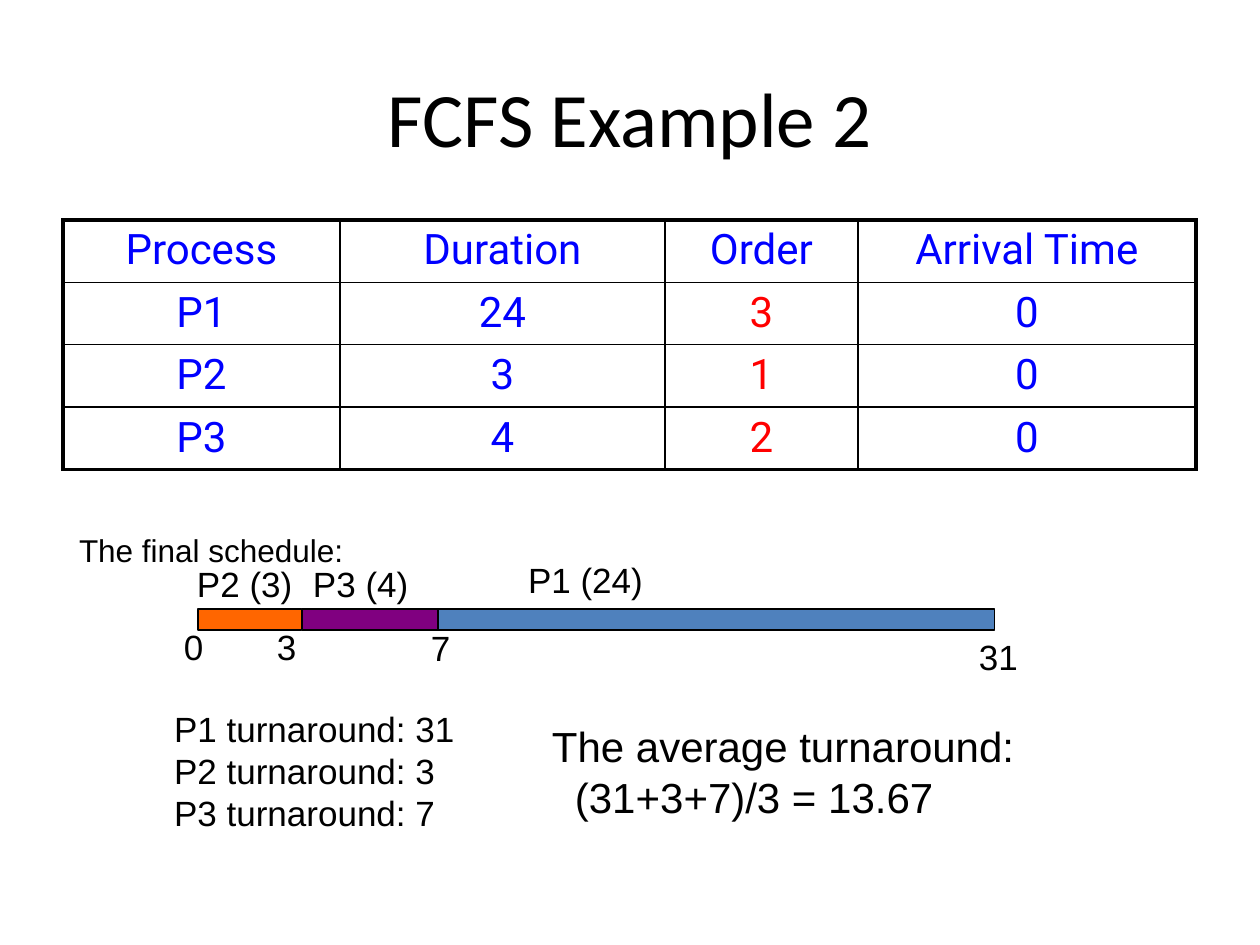
from itertools import product
from lxml.etree import SubElement
from pptx import Presentation
from pptx.dml.color import RGBColor
from pptx.enum.shapes import MSO_SHAPE as SHAPE
from pptx.enum.text import MSO_ANCHOR as ANCHOR, PP_ALIGN as ALIGN
from pptx.oxml.ns import qn
from pptx.util import Emu, Pt

PX = 914400 // 126
INSET = 6
COLORS = {"black": "000000", "white": "FFFFFF", "blue": "0000FF", "red": "FF0000",
          "P1": "4F81BD", "P2": "FF6600", "P3": "800080"}

PROCESSES = [
    ("Process", "Duration", "Order", "Arrival Time"),
    ("P1", "24", "3", "0"),
    ("P2", "3", "1", "0"),
    ("P3", "4", "2", "0"),
]
TABLE_LEFT, TABLE_TOP, ROW_HEIGHT = 63, 220, 62
COL_WIDTHS = [277, 325, 193, 338]
ORDER_COL = 2

BAR_LEFT, BAR_TOP, BAR_HEIGHT = 198, 609, 21
BARS = [("P2", 104), ("P3", 136), ("P1", 557)]  # process, width

# lines, left, top, width, height, size
LABELS = [
    (["The final schedule:"], 73, 525, 284, 48, 18),
    (["P2 (3)"], 191, 557, 112, 52, 20),
    (["P3 (4)"], 307, 557, 112, 52, 20),
    (["P1 (24)"], 522, 553, 132, 52, 20),
    (["0"], 178, 620, 36, 52, 20),
    (["3"], 271, 620, 36, 52, 20),
    (["7"], 425, 621, 36, 52, 20),
    (["31"], 973, 630, 56, 52, 20),
    (["P1 turnaround: 31", "P2 turnaround: 3", "P3 turnaround: 7"], 168, 701, 310, 132, 20),
]
AVERAGE = (["The average turnaround:", "(31+3+7)/3 = 13.67"], 546, 715, 495, 110, 24)
AVERAGE_INDENT = 23


def px(n):
    return Emu(n * PX)


def rgb(name):
    return RGBColor.from_string(COLORS[name])


def style(p, font, size, color="black", align=ALIGN.LEFT):
    p.alignment = align
    for r in p.runs:
        r.font.name, r.font.size = font, Pt(size)
        r.font.color.rgb = rgb(color)


def add_text(slide, lines, left, top, width, height, size,
             font="Arial", align=ALIGN.LEFT, anchor=ANCHOR.TOP):
    tf = slide.shapes.add_textbox(px(left), px(top), px(width), px(height)).text_frame
    tf.word_wrap, tf.vertical_anchor = True, anchor
    tf.margin_left = tf.margin_right = tf.margin_top = tf.margin_bottom = px(INSET)
    tf.text = "\n".join(lines)
    for p in tf.paragraphs:
        style(p, font, size, align=align)
    return tf


def set_borders(cell, widths):
    """Draw black cell edges; widths maps L, R, T and B to points."""
    tc_pr = cell._tc.get_or_add_tcPr()
    for i, (side, width) in enumerate(widths.items()):
        ln = SubElement(tc_pr, qn(f"a:ln{side}"), w=str(Pt(width)))
        fill = SubElement(ln, qn("a:solidFill"))
        SubElement(fill, qn("a:srgbClr"), val=COLORS["black"])
        tc_pr.insert(i, ln)


def add_process_table(slide):
    rows, cols = len(PROCESSES), len(COL_WIDTHS)
    table = slide.shapes.add_table(rows, cols, px(TABLE_LEFT), px(TABLE_TOP),
                                   px(sum(COL_WIDTHS)), px(ROW_HEIGHT * rows)).table
    for column, width in zip(table.columns, COL_WIDTHS):
        column.width = px(width)
    for row in table.rows:
        row.height = px(ROW_HEIGHT)
    for r, c in product(range(rows), range(cols)):
        cell = table.cell(r, c)
        cell.text = PROCESSES[r][c]
        cell.margin_left = cell.margin_right = px(INSET)
        cell.margin_top = cell.margin_bottom = px(INSET)
        cell.fill.solid()
        cell.fill.fore_color.rgb = rgb("white")
        color = "red" if r > 0 and c == ORDER_COL else "blue"
        p = cell.text_frame.paragraphs[0]
        style(p, "Roboto", 24, color, ALIGN.CENTER)
        p.runs[0].font.bold = False
        outer = {"L": c == 0, "R": c == cols - 1, "T": r == 0, "B": r == rows - 1}
        set_borders(cell, {side: 2.25 if edge else 1 for side, edge in outer.items()})


def add_schedule(slide):
    left = BAR_LEFT
    for process, width in BARS:
        sp = slide.shapes.add_shape(SHAPE.RECTANGLE, px(left), px(BAR_TOP),
                                    px(width), px(BAR_HEIGHT))
        sp.shadow.inherit = False
        sp.fill.solid()
        sp.fill.fore_color.rgb = rgb(process)
        sp.line.color.rgb = rgb("black")
        sp.line.width = Pt(0.75)
        left += width


def main():
    prs = Presentation()
    prs.slide_width, prs.slide_height = px(1260), px(945)
    slide = prs.slides.add_slide(prs.slide_layouts[6])
    add_text(slide, ["FCFS Example 2"], 63, 38, 1134, 157, 44,
             "Calibri", ALIGN.CENTER, ANCHOR.MIDDLE)
    add_process_table(slide)
    add_schedule(slide)
    for label in LABELS:
        add_text(slide, *label)
    result = add_text(slide, *AVERAGE).paragraphs[1]
    result._p.get_or_add_pPr().set("marL", str(px(AVERAGE_INDENT)))
    prs.save("out.pptx")


if __name__ == "__main__":
    main()
